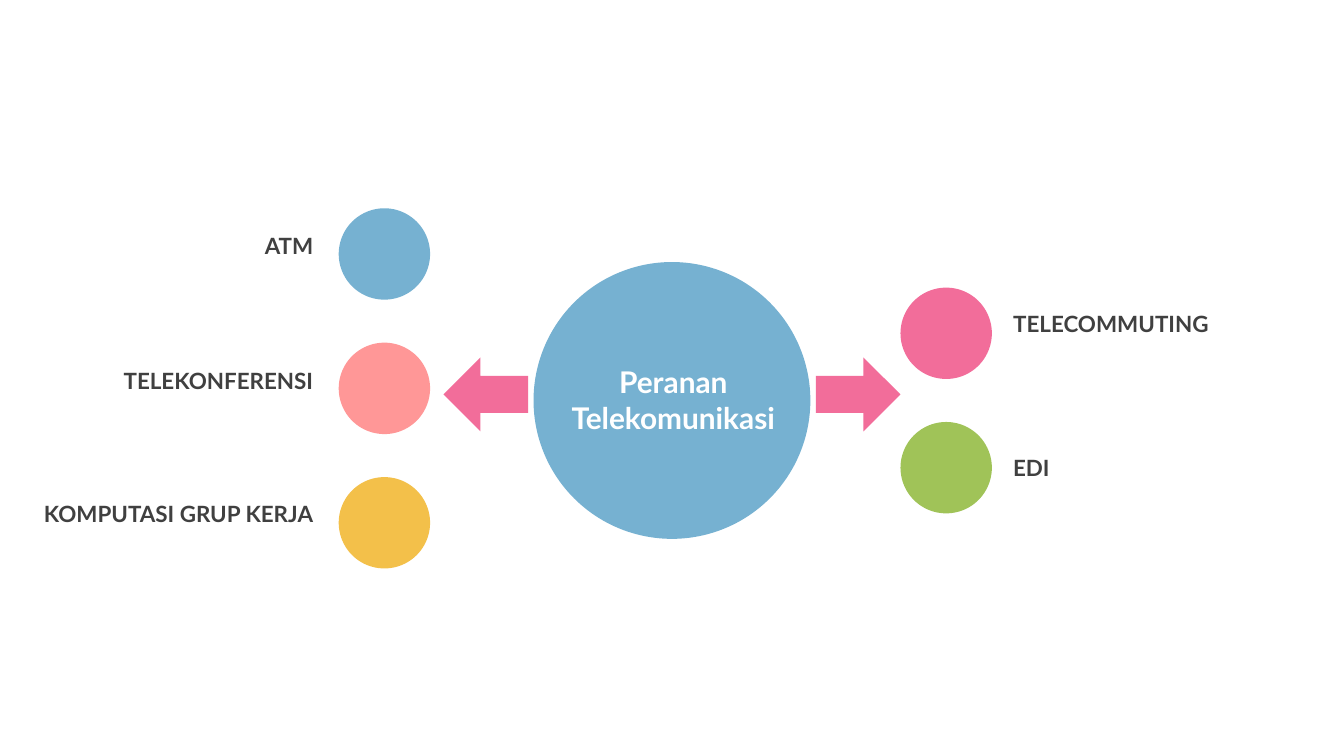
from pptx import Presentation
from pptx.dml.color import RGBColor
from pptx.enum.shapes import MSO_SHAPE
from pptx.enum.text import MSO_ANCHOR, PP_ALIGN
from pptx.util import Inches, Pt

OVAL = MSO_SHAPE.OVAL
LEFT_ARROW, RIGHT_ARROW = MSO_SHAPE.LEFT_ARROW, MSO_SHAPE.RIGHT_ARROW
LEFT, CENTER, RIGHT = PP_ALIGN.LEFT, PP_ALIGN.CENTER, PP_ALIGN.RIGHT
MIDDLE = MSO_ANCHOR.MIDDLE

COLORS = {
    "blue": "76B1D1",
    "pink": "F26D9A",
    "green": "A0C358",
    "coral": "FF9797",
    "yellow": "F3C04A",
    "text": "404040",
    "white": "FFFFFF",
}

# 16:9 slide
prs = Presentation()
prs.slide_width = Inches(10)
prs.slide_height = Inches(10 * 9 / 16)
s = prs.slides.add_slide(prs.slide_layouts[6])


def add_shape(kind, x, y, w, h, color):
    sp = s.shapes.add_shape(kind, Inches(x), Inches(y), Inches(w), Inches(h))
    sp.shadow.inherit = False
    sp.fill.solid()
    sp.fill.fore_color.rgb = RGBColor.from_string(COLORS[color])
    sp.line.fill.background()


def add_text(text, x, y, w, h, size, color, align):
    tf = s.shapes.add_textbox(Inches(x), Inches(y), Inches(w), Inches(h)).text_frame
    tf.word_wrap = True
    tf.vertical_anchor = MIDDLE
    tf.text = text
    p = tf.paragraphs[0]
    p.alignment = align
    font = p.runs[0].font
    font.name, font.size, font.bold = "Lato", Pt(size), True
    font.color.rgb = RGBColor.from_string(COLORS[color])


# Central topic
add_shape(OVAL, 3.97, 1.95, 2.06, 2.06, "blue")
add_text("Peranan Telekomunikasi", 3.99, 2.55, 2.04, 0.85, 16, "white", CENTER)

# Arrows to both sides
for kind, x in ((LEFT_ARROW, 3.3), (RIGHT_ARROW, 6.07)):
    add_shape(kind, x, 2.66, 0.63, 0.55, "pink")

# Roles: circle x, label x, alignment, first circle top, (label, color, label offset)
sides = [
    (2.52, -0.67, RIGHT, 1.55, [
        ("ATM", "blue", 0.13),
        ("TELEKONFERENSI", "coral", 0.13),
        ("KOMPUTASI GRUP KERJA", "yellow", 0.12),
    ]),
    (6.7, 7.44, LEFT, 2.14, [
        ("TELECOMMUTING", "pink", 0.12),
        ("EDI", "green", 0.19),
    ]),
]
for circle_x, label_x, align, top, roles in sides:
    for i, (label, color, offset) in enumerate(roles):
        y = top + i
        add_shape(OVAL, circle_x, y, 0.68, 0.68, color)
        add_text(label, label_x, y + offset, 3.1, 0.3, 12, "text", align)

prs.save("out.pptx")
